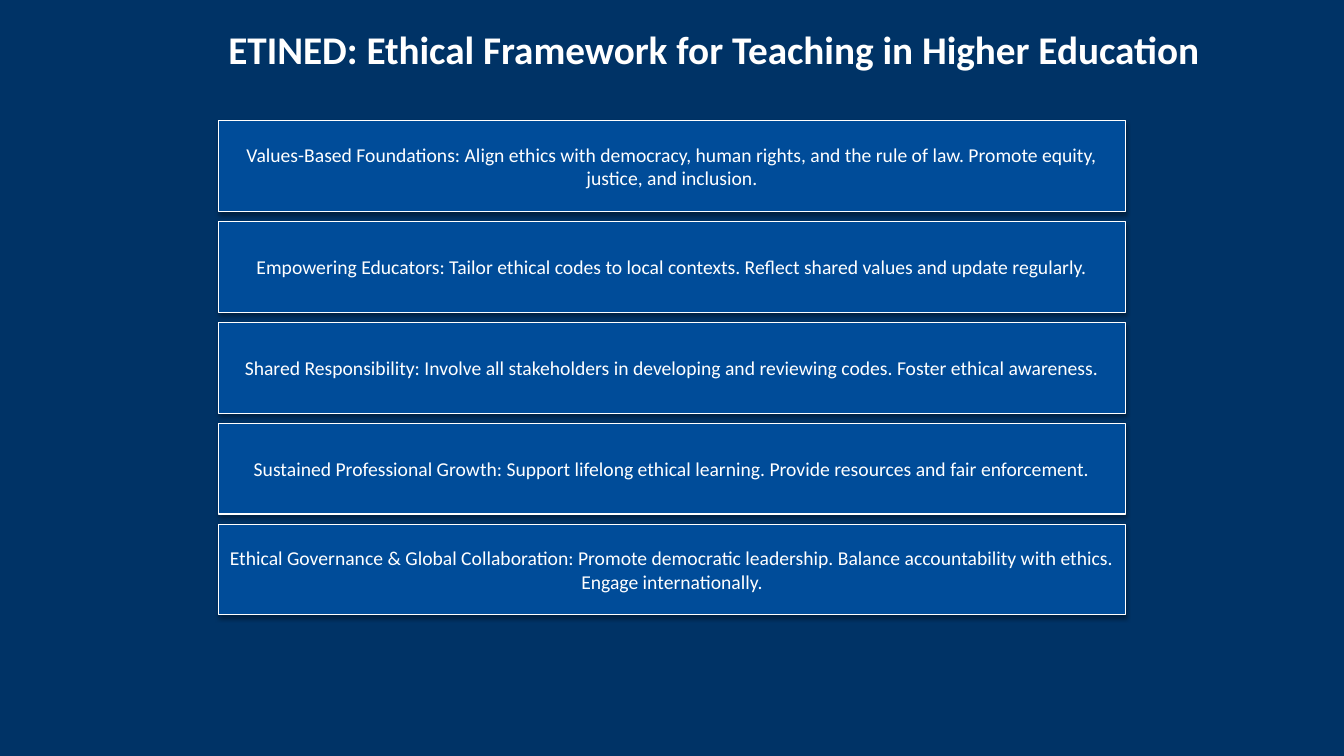
"""Build a slide that lists the five ETINED principles as stacked boxes."""
import pptx
import pptx.dml.color
import pptx.enum.shapes
import pptx.enum.text
import pptx.util

TITLE = "ETINED: Ethical Framework for Teaching in Higher Education"
PRINCIPLES = [
    "Values-Based Foundations: Align ethics with democracy, human rights, and the rule of law. "
    "Promote equity, justice, and inclusion.",
    "Empowering Educators: Tailor ethical codes to local contexts. "
    "Reflect shared values and update regularly.",
    "Shared Responsibility: Involve all stakeholders in developing and reviewing codes. "
    "Foster ethical awareness.",
    "Sustained Professional Growth: Support lifelong ethical learning. "
    "Provide resources and fair enforcement.",
    "Ethical Governance & Global Collaboration: Promote democratic leadership. "
    "Balance accountability with ethics. Engage internationally.",
]
COLORS = {"background": "003366", "box": "004C99", "light": "FFFFFF"}
FONT = "Calibri"
PAGE_WIDTH, PAGE_HEIGHT = 13.33, 7.5
BOX_WIDTH, BOX_HEIGHT = 9, 0.9
FIRST_ROW, ROW_PITCH = 1.2, 1
LEFT = (PAGE_WIDTH - BOX_WIDTH) / 2
TITLE_TOP, TITLE_WIDTH, TITLE_HEIGHT = 0.2, 9.86, 0.57


def color(name):
    return pptx.dml.color.RGBColor.from_string(COLORS[name])


def place(shape, *lengths):
    shape.left, shape.top, shape.width, shape.height = map(pptx.util.Inches, lengths)


def write(shape, text, size, align, anchor, bold=False):
    frame = shape.text_frame
    frame.text = text
    frame.vertical_anchor = anchor
    para = frame.paragraphs[0]
    para.alignment = align
    para.font.name = FONT
    para.font.size = pptx.util.Pt(size)
    para.font.bold = bold
    para.font.color.rgb = color("light")


def add_title(page):
    title = page.shapes.title
    place(title, LEFT, TITLE_TOP, TITLE_WIDTH, TITLE_HEIGHT)
    write(title, TITLE, 28, pptx.enum.text.PP_ALIGN.LEFT,
          pptx.enum.text.MSO_ANCHOR.TOP, bold=True)
    title.text_frame.word_wrap = False
    title.text_frame.auto_size = pptx.enum.text.MSO_AUTO_SIZE.SHAPE_TO_FIT_TEXT


def add_principle(page, row, text):
    box = page.shapes.add_shape(pptx.enum.shapes.MSO_SHAPE.RECTANGLE, 0, 0, 0, 0)
    place(box, LEFT, FIRST_ROW + row * ROW_PITCH, BOX_WIDTH, BOX_HEIGHT)
    box.fill.solid()
    box.fill.fore_color.rgb = color("box")
    box.line.color.rgb = color("light")
    box.line.width = pptx.util.Pt(0.75)
    write(box, text, 14, pptx.enum.text.PP_ALIGN.CENTER,
          pptx.enum.text.MSO_ANCHOR.MIDDLE)
    box.text_frame.word_wrap = True


def main():
    deck = pptx.Presentation()
    deck.slide_width = pptx.util.Inches(PAGE_WIDTH)
    deck.slide_height = pptx.util.Inches(PAGE_HEIGHT)
    page = deck.slides.add_slide(deck.slide_layouts.get_by_name("Title Only"))
    page.background.fill.solid()
    page.background.fill.fore_color.rgb = color("background")
    add_title(page)
    for row, text in enumerate(PRINCIPLES):
        add_principle(page, row, text)
    deck.save("out.pptx")


if __name__ == "__main__":
    main()
